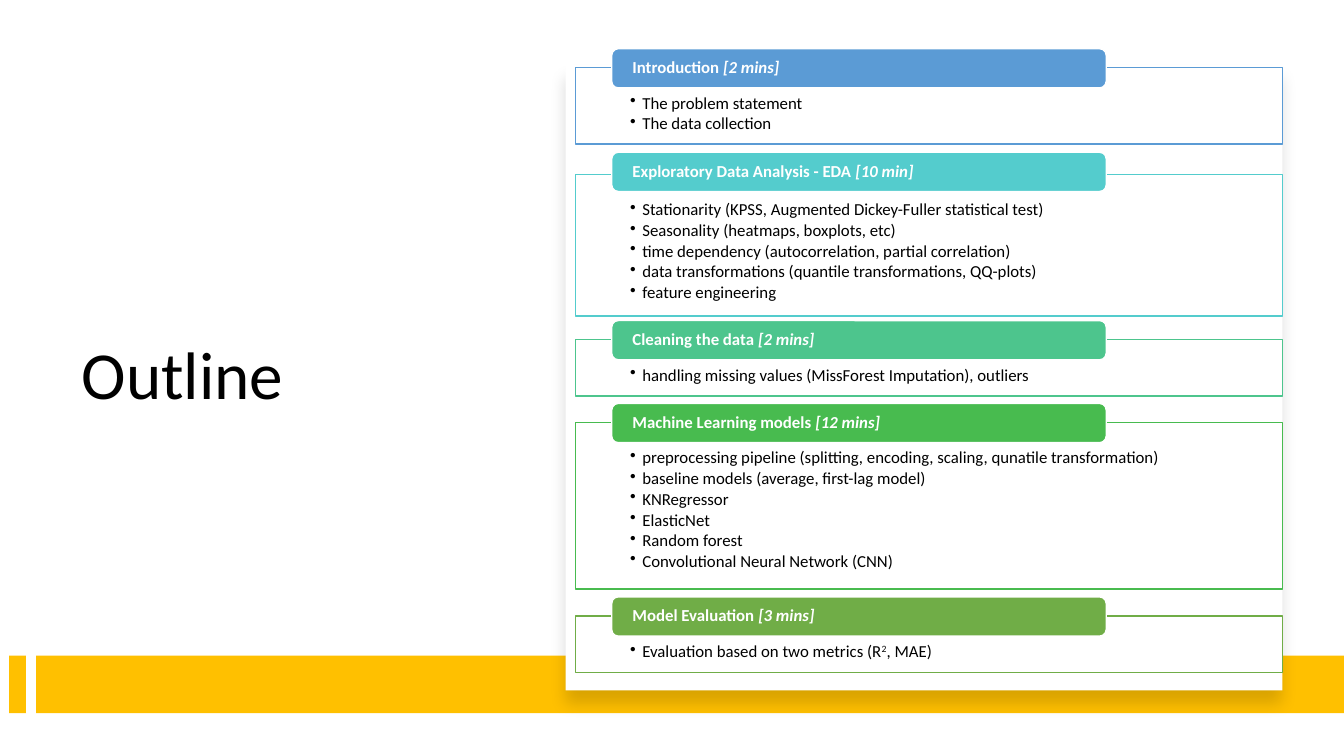
"""Build the talk outline slide: a title beside five timed sections."""
from lxml.etree import SubElement as Sub
from pptx import Presentation
from pptx.dml.color import RGBColor as Rgb
from pptx.enum.shapes import MSO_SHAPE as Kind
from pptx.enum.text import MSO_ANCHOR as Anchor, PP_ALIGN as Align
from pptx.oxml.ns import qn
from pptx.util import Pt

TITLE = "Outline"
# Each section: name, time, colour, tab top, box top, box height, points
PARTS = [
    ("Introduction ", "[2 mins]", "5B9BD5", 34.8, 48.2, 54.8, [
        "The problem statement",
        "The data collection"]),
    ("Exploratory Data Analysis - EDA ", "[10 min]", "54CCCD", 108.8, 124.5, 101.2, [
        "Stationarity (KPSS, Augmented Dickey-Fuller statistical test)",
        "Seasonality (heatmaps, boxplots, etc)",
        "time dependency (autocorrelation, partial correlation)",
        "data transformations (quantile transformations, QQ-plots)",
        "feature engineering"]),
    ("Cleaning the data ", "[2 mins]", "4DC58D", 229, 242.4, 40.4, [
        "handling missing values (MissForest Imputation), outliers"]),
    ("Machine Learning models ", "[12 mins]", "48BB4F", 288.2, 301.7, 119, [
        "preprocessing pipeline (splitting, encoding, scaling, qunatile transformation)",
        "baseline models (average, first-lag model)",
        "KNRegressor",
        "ElasticNet",
        "Random forest",
        "Convolutional Neural Network (CNN)"]),
    ("Model Evaluation ", "[3 mins]", "70AD47", 426.4, 440, 40.4, [
        ("Evaluation based on two metrics (R", "2", ", MAE)")]),
]
BARS = [(6.5, 12), (25.8, 934.2)]
BAR_TOP, BAR_H = 468.4, 41
PANEL = (404, 46.2, 512, 447)
BOX_X, BOX_W = 411.2, 504.8
TAB_X, TAB_W, TAB_H = 437, 353.2, 28
THEME = {"font": "Calibri", "ink": "000000", "paper": "FFFFFF", "bar": "FFC000",
         "head": 48, "body": 12}


def block(kind, x, y, w, h, fill, line=None):
    """Add a flat shape with a solid fill and an optional outline."""
    shape = slide.shapes.add_shape(kind, Pt(x), Pt(y), Pt(w), Pt(h))
    shape.shadow.inherit = False
    shape.fill.solid()
    shape.fill.fore_color.rgb = Rgb.from_string(fill)
    if line:
        shape.line.color.rgb = Rgb.from_string(line)
        shape.line.width = Pt(1)
    else:
        shape.line.fill.background()
    return shape


def frame(shape, anchor, left, top, right, low):
    """Set how text sits in a shape and return its text frame."""
    text = shape.text_frame
    text.word_wrap = True
    text.vertical_anchor = anchor
    text.margin_left, text.margin_top = Pt(left), Pt(top)
    text.margin_right, text.margin_bottom = Pt(right), Pt(low)
    return text


def space(para, after=0):
    """Set left alignment and spacing for a paragraph."""
    para.alignment = Align.LEFT
    para.line_spacing = 0.9
    para.space_after = Pt(after)


def add_run(para, words, size, color, bold=False, slant=False):
    """Add one styled run."""
    run = para.add_run()
    run.text = words
    font = run.font
    font.name, font.size = THEME["font"], Pt(size)
    font.bold, font.italic = bold, slant
    font.color.rgb = Rgb.from_string(color)
    return run


def shade(shape):
    """Cast a soft shadow straight down."""
    list_ = shape._element.spPr.find(qn("a:effectLst"))
    cast = Sub(list_, qn("a:outerShdw"), blurRad=str(Pt(11)), dist=str(Pt(10)),
               dir="5400000", algn="t", rotWithShape="0")
    tint = Sub(cast, qn("a:srgbClr"), val=THEME["ink"])
    Sub(tint, qn("a:alpha"), val="15000")


def add_point(para, point):
    """Write one bullet; the middle piece of a tuple is raised."""
    space(para, 1.8)
    para.level = 1
    props = para._p.get_or_add_pPr()
    props.set("marL", str(Pt(8.64)))
    props.set("indent", str(-Pt(8.64)))
    Sub(props, qn("a:buChar"), char="•")
    pieces = (point,) if isinstance(point, str) else point
    for spot, piece in enumerate(pieces):
        run = add_run(para, piece, THEME["body"], THEME["ink"])
        if spot == 1:
            run._r.get_or_add_rPr().set("baseline", "30000")


def add_part(name, time, color, tab_y, box_y, box_h, points):
    """Draw a framed list with its tab on the top edge."""
    box = block(Kind.RECTANGLE, BOX_X, box_y, BOX_W, box_h, THEME["paper"], color)
    tint = box._element.spPr.find(qn("a:solidFill"))[0]
    Sub(tint, qn("a:alpha"), val="90000")
    text = frame(box, Anchor.TOP, 39, 19.4, 39, 6.5)
    for spot, point in enumerate(points):
        add_point(text.add_paragraph() if spot else text.paragraphs[0], point)

    tab = block(Kind.ROUNDED_RECTANGLE, TAB_X, tab_y, TAB_W, TAB_H, color, THEME["paper"])
    para = frame(tab, Anchor.MIDDLE, 13.4, 0, 13.4, 0).paragraphs[0]
    space(para)
    add_run(para, name, THEME["body"], THEME["paper"], bold=True)
    add_run(para, time, THEME["body"], THEME["paper"], bold=True, slant=True)


deck = Presentation()
deck.slide_width, deck.slide_height = Pt(960), Pt(540)
slide = deck.slides.add_slide(deck.slide_layouts[6])

title = slide.shapes.add_textbox(Pt(51.2), Pt(86.4), Pt(298.8), Pt(367.2))
line = frame(title, Anchor.MIDDLE, 7.2, 3.6, 7.2, 3.6).paragraphs[0]
space(line)
add_run(line, TITLE, THEME["head"], THEME["ink"])

for x, width in BARS:
    block(Kind.RECTANGLE, x, BAR_TOP, width, BAR_H, THEME["bar"])
shade(block(Kind.RECTANGLE, *PANEL, THEME["paper"]))
for part in PARTS:
    add_part(*part)

deck.save("out.pptx")
